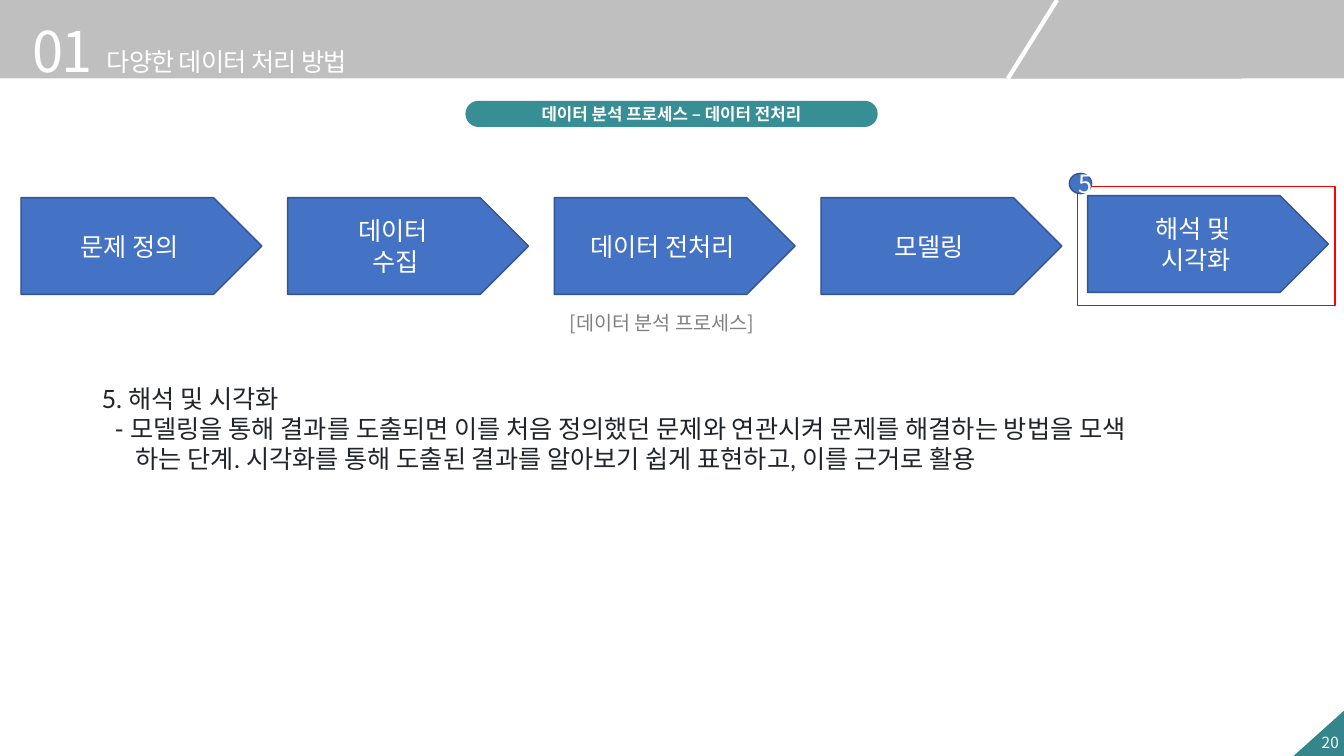
from pptx import Presentation
from pptx.dml.color import RGBColor as Rgb
from pptx.enum.shapes import MSO_CONNECTOR as Link, MSO_SHAPE as Form
from pptx.enum.text import MSO_ANCHOR as Anchor, MSO_AUTO_SIZE as Fit, PP_ALIGN as Align
from pptx.oxml.ns import qn
from pptx.util import Cm, Pt
from lxml.etree import SubElement as Sub

# Content
HEAD = ("01", "다양한 데이터 처리 방법")
TOPIC = "데이터 분석 프로세스 – 데이터 전처리"
STEPS = [
    ["문제 정의"],
    ["데이터 ", "수집"],
    ["데이터 전처리"],
    ["모델링"],
    ["해석 및 ", "시각화"],
]
CAPTION = "[데이터 분석 프로세스]"
# Each line with its left indent in cm
BODY = [
    ("5. 해석 및 시각화", 0),
    ("- 모델링을 통해 결과를 도출되면 이를 처음 정의했던 문제와 연관시켜 문제를 해결하는 방법을 모색", 0.33),
    ("하는 단계. 시각화를 통해 도출된 결과를 알아보기 쉽게 표현하고, 이를 근거로 활용", 0.86),
]
PAGE = "20"

# Style
HUE = {
    "white": "FFFFFF", "band": "BFBFBF", "corner": "34868C", "pill": "388E95",
    "blue": "4472C4", "edge": "325491", "red": "FF0000",
    "grey": "808080", "ink": "212529",
}
SANS, LATO = "Noto Sans CJK KR", "Lato"
WIDE, HIGH = 33.87, 19.05
BAND = 1.98

deck = Presentation()
deck.slide_width, deck.slide_height = Cm(WIDE), Cm(HIGH)
slide = deck.slides.add_slide(deck.slide_layouts[6])
shapes = slide.shapes


def tint(name):
    return Rgb.from_string(HUE[name])


def paint(shape, fill=None, edge=None):
    shape.shadow.inherit = False
    if fill:
        shape.fill.solid()
        shape.fill.fore_color.rgb = tint(fill)
    else:
        shape.fill.background()
    if edge:
        shape.line.color.rgb = tint(edge)
        shape.line.width = Pt(1)
    else:
        shape.line.fill.background()
    return shape


def form(kind, box, fill=None, edge=None):
    return paint(shapes.add_shape(kind, *map(Cm, box)), fill, edge)


def write(shape, lines, size, hue="white", face=SANS, align=Align.CENTER,
          bold=False, gap=0, **frame):
    text = shape.text_frame
    for key, value in {"word_wrap": True, **frame}.items():
        setattr(text, key, value)
    look = {"size": Pt(size), "name": face, "bold": bold}
    for i, line in enumerate(lines):
        para = text.paragraphs[0] if i == 0 else text.add_paragraph()
        para.alignment = align
        run = para.add_run()
        run.text = line
        for key, value in look.items():
            setattr(run.font, key, value)
        run.font.color.rgb = tint(hue)
        props = run._r.get_or_add_rPr()
        Sub(props, qn("a:ea")).set("typeface", SANS)
        if gap:
            props.set("spc", str(gap))
    return text


def label(box, lines, size, hue="white", align=Align.LEFT, **more):
    return write(shapes.add_textbox(*map(Cm, box)), lines, size, hue, align=align, **more)


# Page corner
corner = form(Form.RIGHT_TRIANGLE, (32.6, 17.91, 1.27, 1.14), "corner")
corner._element.spPr.find(qn("a:xfrm")).set("flipH", "1")
label((32.26, 18.34, 1.73, 1.02), [PAGE], 11, align=Align.RIGHT)

# Header band with slanted panel and stroke
form(Form.RECTANGLE, (0, 0, WIDE, BAND), "band")
path = shapes.build_freeform(Cm(26.62), 0)
path.add_line_segments([(Cm(31.29), 0), (Cm(31.29), Cm(BAND)), (Cm(25.4), Cm(BAND))])
paint(path.convert_to_shape(), "band")
slash = shapes.add_connector(Link.STRAIGHT, Cm(26.64), 0, Cm(25.4), Cm(BAND))
slash.line.color.rgb = tint("white")
slash.line.width = Pt(3)
Sub(slash._element.spPr, qn("a:effectLst"))

grow = {"auto_size": Fit.SHAPE_TO_FIT_TEXT}
label((0.58, 0.28, 2.41, 1.96), HEAD[:1], 40, gap=-150, **grow)
label((2.44, 1.04, 8.61, 1.02), HEAD[1:], 18, gap=-50, **grow)

# Topic pill
pill = form(Form.ROUNDED_RECTANGLE, (11.73, 2.54, 10.39, 0.66), "pill")
pill.adjustments[0] = 0.5
mid = {"vertical_anchor": Anchor.MIDDLE}
write(pill, [TOPIC], 12, bold=True, word_wrap=False, **mid)

# Process steps, the last one slightly raised
LEFT, PITCH = 0.53, 6.72
for i, step in enumerate(STEPS):
    top = 4.93 if i == len(STEPS) - 1 else 4.98
    arrow = form(Form.PENTAGON, (LEFT + i * PITCH, top, 6.07, 2.44), "blue", "edge")
    write(arrow, step, 18, **mid)
label((14.1, 7.72, 5.64, 0.86), [CAPTION], 14, "grey", word_wrap=False, **grow)

# Explanation
text = label((2.31, 9.53, 29.24, 2.57), [line for line, _ in BODY], 18, "ink",
             face=LATO, **grow)
for para, (_, left) in zip(text.paragraphs, BODY):
    props = para._p.get_or_add_pPr()
    props.set("marL", str(Cm(left)))
    props.set("indent", "0")

# Highlight of the current step
form(Form.RECTANGLE, (27.15, 4.7, 6.5, 3), edge="red")
badge = form(Form.OVAL, (26.95, 4.37, 0.56, 0.51), "blue", "edge")
write(badge, [str(len(STEPS))], 18, **mid)

deck.save("out.pptx")
